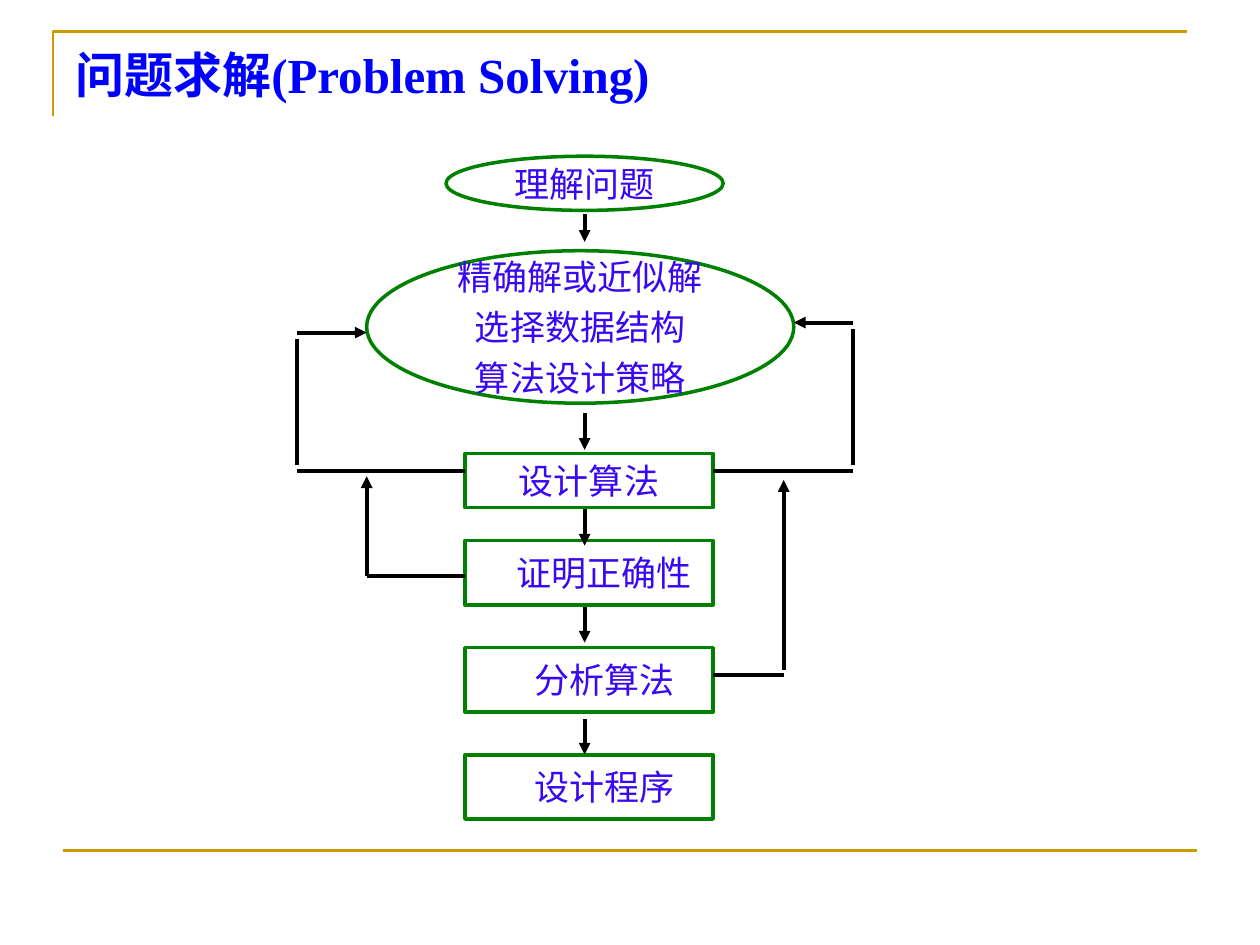
from itertools import pairwise
from lxml.etree import SubElement
from pptx import Presentation
from pptx.dml.color import RGBColor
from pptx.enum.shapes import MSO_CONNECTOR as Connector, MSO_SHAPE as Shape
from pptx.enum.text import MSO_ANCHOR as Anchor, MSO_AUTO_SIZE as AutoSize, PP_ALIGN as Align
from pptx.oxml.ns import qn
from pptx.util import Inches, Pt

COLORS = {"frame": "CC9900", "title": "0000FF", "outline": "008000",
          "label": "3907F1", "flow": "000000", "paper": "FFFFFF"}
TITLE = "问题求解(Problem Solving)"

SPINE = 4.64
BOX_LEFT, BOX_WIDTH = 3.69, 1.97
BOX_RIGHT = BOX_LEFT + BOX_WIDTH
STEP_TOP, STEP_PITCH, STEP_HEIGHT = 4.29, 0.85, 0.51
CHOICE_LEFT, CHOICE_WIDTH = 2.91, 3.39
CHOICE_RIGHT = CHOICE_LEFT + CHOICE_WIDTH
OUTER_LEFT, OUTER_RIGHT, INNER_RIGHT = 2.36, 6.77, 6.22
DESIGN_EXIT = 3.74

STAGES = [
    (Shape.OVAL, (3.54, 1.24, 2.2, 0.43), ["理解问题"]),
    (Shape.OVAL, (CHOICE_LEFT, 1.99, CHOICE_WIDTH, 1.21),
     ["精确解或近似解", "选择数据结构", "算法设计策略"]),
    (Shape.RECTANGLE, (BOX_LEFT, 3.6, BOX_WIDTH, 0.43), ["设计算法"]),
]
BULLETED_STEPS = ["证明正确性", "分析算法", "设计程序"]
DOWN_ARROWS = [(1.7, 1.92), (3.28, 3.57), (4.04, 4.33), (4.82, 5.1), (5.71, 5.99)]
FEEDBACK = [
    ((BOX_LEFT, DESIGN_EXIT), (OUTER_LEFT, DESIGN_EXIT), False),
    ((OUTER_LEFT, 3.69), (OUTER_LEFT, 2.69), False),
    ((OUTER_LEFT, 2.64), (CHOICE_LEFT, 2.64), True),
    ((BOX_RIGHT, DESIGN_EXIT), (OUTER_RIGHT, DESIGN_EXIT), False),
    ((OUTER_RIGHT, 3.69), (OUTER_RIGHT, 2.61), False),
    ((OUTER_RIGHT, 2.56), (CHOICE_RIGHT, 2.56), True),
    ((BOX_LEFT, 4.57), (CHOICE_LEFT, 4.57), False),
    ((CHOICE_LEFT, 4.57), (CHOICE_LEFT, 3.78), True),
    ((BOX_RIGHT, 5.36), (INNER_RIGHT, 5.36), False),
    ((INNER_RIGHT, 5.32), (INNER_RIGHT, 3.81), True),
]


def rgb(name):
    return RGBColor.from_string(COLORS[name])


def add_line(slide, start, end, color="flow", width=2.25, arrow=False):
    line = slide.shapes.add_connector(
        Connector.STRAIGHT, *(Inches(v) for v in (*start, *end)))
    line.line.color.rgb = rgb(color)
    line.line.width = Pt(width)
    if arrow:
        SubElement(line.line._get_or_add_ln(), qn("a:tailEnd"), type="triangle")
    SubElement(line._element.spPr, qn("a:effectLst"))


def add_bullet(paragraph):
    props = paragraph._p.get_or_add_pPr()
    props.set("marL", str(Inches(0.24)))
    props.set("indent", str(-Inches(0.24)))
    color = SubElement(props, qn("a:buClr"))
    SubElement(color, qn("a:srgbClr"), val=COLORS["paper"])
    SubElement(props, qn("a:buSzPct"), val="65000")
    SubElement(props, qn("a:buChar"), char="■")


def style_run(run, size, font, color, bold=False):
    run.font.size = Pt(size)
    run.font.name = font
    run.font.bold = bold
    run.font.color.rgb = rgb(color)


def add_stage(slide, kind, area, lines, bulleted=False):
    stage = slide.shapes.add_shape(kind, *(Inches(v) for v in area))
    stage.shadow.inherit = False
    stage.fill.solid()
    stage.fill.fore_color.rgb = rgb("paper")
    stage.line.color.rgb = rgb("outline")
    stage.line.width = Pt(2)
    frame = stage.text_frame
    frame.word_wrap = False
    frame.vertical_anchor = Anchor.MIDDLE
    for index, text in enumerate(lines):
        paragraph = frame.add_paragraph() if index else frame.paragraphs[0]
        paragraph.alignment = Align.CENTER
        paragraph.space_before = Pt(5 if index else 0)
        if bulleted:
            add_bullet(paragraph)
        run = paragraph.add_run()
        run.text = text
        style_run(run, 20, "Arial", "label")


def add_title(slide):
    title = slide.shapes.title
    title.left, title.top, title.width, title.height = (
        Inches(v) for v in (0.5, 0.3, 9, 1.25))
    frame = title.text_frame
    frame.auto_size = AutoSize.NONE
    frame.vertical_anchor = Anchor.TOP
    paragraph = frame.paragraphs[0]
    paragraph.alignment = Align.LEFT
    run = paragraph.add_run()
    run.text = TITLE
    style_run(run, 28, "Times New Roman", "title", bold=True)


def add_frame(slide):
    builder = slide.shapes.build_freeform(Inches(0.42), Inches(0.92))
    builder.add_line_segments(
        [(Inches(0.42), Inches(0.25)), (Inches(9.42), Inches(0.25))], close=False)
    corner = builder.convert_to_shape()
    corner.shadow.inherit = False
    corner.fill.background()
    corner.line.color.rgb = rgb("frame")
    corner.line.width = Pt(1.5)
    add_line(slide, (0.5, 6.75), (9.5, 6.75), "frame", 1.5)


def main():
    deck = Presentation()
    deck.slide_width, deck.slide_height = Inches(10), Inches(7.5)
    slide = deck.slides.add_slide(deck.slide_layouts[5])
    add_frame(slide)
    add_title(slide)
    for row, text in enumerate(BULLETED_STEPS):
        area = (BOX_LEFT, STEP_TOP + row * STEP_PITCH, BOX_WIDTH, STEP_HEIGHT)
        add_stage(slide, Shape.RECTANGLE, area, [text], bulleted=True)
    for kind, area, lines in STAGES:
        add_stage(slide, kind, area, lines)
    for top, bottom in DOWN_ARROWS:
        add_line(slide, (SPINE, top), (SPINE, bottom), arrow=True)
    for start, end, arrow in FEEDBACK:
        add_line(slide, start, end, arrow=arrow)
    deck.save("out.pptx")


if __name__ == "__main__":
    main()
